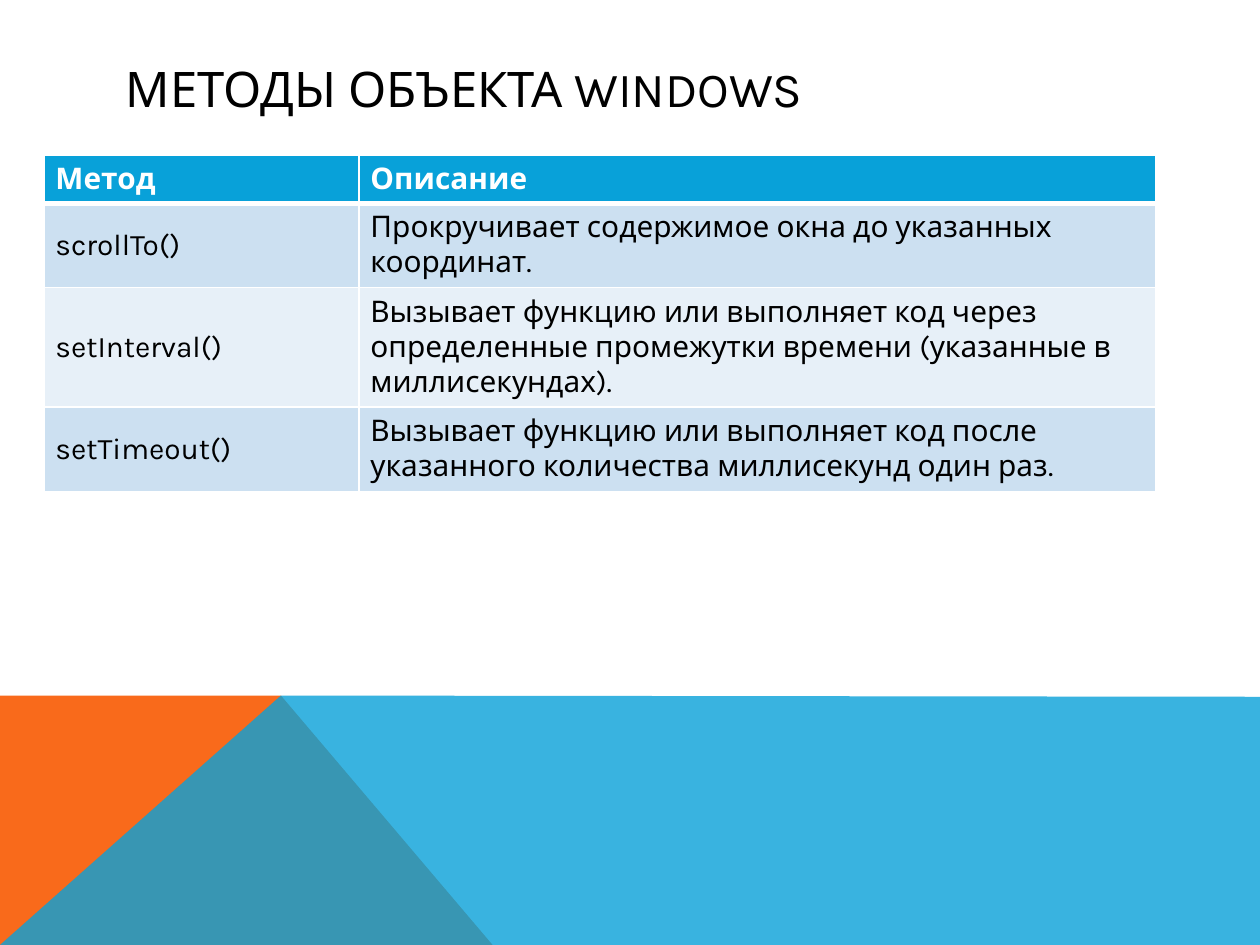
import pptx
import pptx.dml.color
import pptx.enum.text
import pptx.oxml
import pptx.oxml.ns
import pptx.util

Inches = pptx.util.Inches
Pt = pptx.util.Pt
MIDDLE = pptx.enum.text.MSO_ANCHOR.MIDDLE
NS = pptx.oxml.ns.nsdecls("a")


def paint(fmt, color):
    """Give a fill a solid hex colour."""
    fmt.solid()
    fmt.fore_color.rgb = pptx.dml.color.RGBColor.from_string(color)


def write(frame, text, size=17, color="000000", bold=False):
    frame.word_wrap = True
    run = frame.paragraphs[0].add_run()
    run.text = text
    run.font.name = "Karla"
    run.font.size = Pt(size)
    run.font.bold = bold
    paint(run.font.fill, color)


deck = pptx.Presentation()
deck.slide_width = Inches(10)
deck.slide_height = Inches(7.5)
slide = deck.slides.add_slide(deck.slide_layouts[6])

# Footer: an orange wedge under a translucent blue band
bands = [
    ("F96A1B", 100, [(0, 7.5), (0, 5.52), (2.23, 5.52), (3.91, 7.5)]),
    ("08A1D9", 80, [(0, 7.5), (2.23, 5.52), (10, 5.53), (10, 7.5)]),
]
for color, alpha, points in bands:
    points = [(Inches(x), Inches(y)) for x, y in points]
    pen = slide.shapes.build_freeform(*points[0])
    pen.add_line_segments(points[1:], close=True)
    band = pen.convert_to_shape()
    band.shadow.inherit = False
    band.line.fill.background()
    paint(band.fill, color)
    if alpha < 100:
        tone = band.fill._xPr.find(".//" + pptx.oxml.ns.qn("a:srgbClr"))
        tone.append(pptx.oxml.parse_xml(f'<a:alpha {NS} val="{alpha * 1000}"/>'))

title = slide.shapes.add_textbox(Inches(0.9), Inches(0.4), Inches(8.22), Inches(0.6))
title.text_frame.vertical_anchor = MIDDLE
write(title.text_frame, "МЕТОДЫ ОБЪЕКТА WINDOWS", size=28)

rows = [
    ("Метод", "Описание"),
    ("scrollTo()", "Прокручивает содержимое окна до указанных координат."),
    ("setInterval()", "Вызывает функцию или выполняет код через определенные "
                      "промежутки времени (указанные в миллисекундах)."),
    ("setTimeout()", "Вызывает функцию или выполняет код после указанного "
                     "количества миллисекунд один раз."),
]
fills = ["08A1D9", "CCE0F1", "E7F0F8", "CCE0F1"]
table = slide.shapes.add_table(
    len(rows), 2, Inches(0.35), Inches(1.23), Inches(8.82), Inches(2.47)).table
for col, width in zip(table.columns, [2.5, 6.32]):
    col.width = Inches(width)
for row, height in zip(table.rows, [0.3, 0.49, 0.66, 0.39]):
    row.height = Inches(height)

for r, texts in enumerate(rows):
    head = r == 0
    for c, text in enumerate(texts):
        cell = table.cell(r, c)
        cell.vertical_anchor = MIDDLE
        cell.margin_left = cell.margin_right = Inches(0.09)
        cell.margin_top = cell.margin_bottom = Inches(0.05)
        write(cell.text_frame, text, color="FFFFFF" if head else "000000", bold=head)
        # Borders come before the fill in the cell properties
        props = cell._tc.get_or_add_tcPr()
        for side in "LRTB":
            thick = (head and side == "B") or (r == 1 and side == "T")
            props.append(pptx.oxml.parse_xml(
                f'<a:ln{side} {NS} w="{Pt(3 if thick else 1)}"><a:solidFill>'
                f'<a:srgbClr val="FFFFFF"/></a:solidFill></a:ln{side}>'))
        paint(cell.fill, fills[r])

deck.save("out.pptx")
